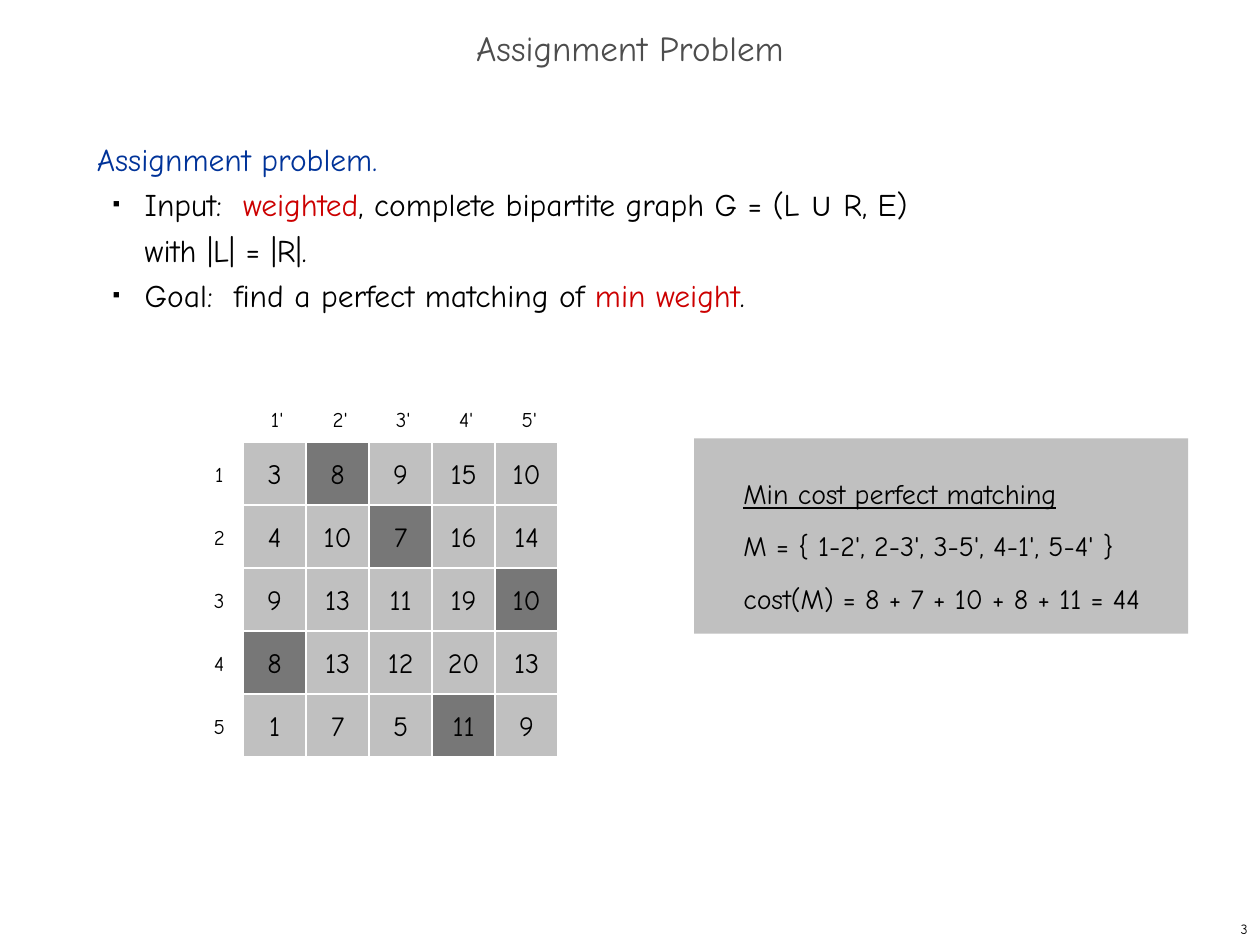
from dataclasses import dataclass

from lxml.etree import SubElement
from pptx import Presentation
from pptx.dml.color import RGBColor
from pptx.enum.shapes import MSO_SHAPE as Preset
from pptx.enum.text import MSO_ANCHOR as Anchor, PP_ALIGN as Align
from pptx.oxml.ns import qn
from pptx.util import Inches, Pt


@dataclass(frozen=True)
class Theme:
    font: str = "Comic Neue"
    symbol_font: str = "Arial"
    black: str = "000000"
    grey: str = "4D4D4D"
    blue: str = "003399"
    red: str = "CC0000"
    white: str = "FFFFFF"
    panel: str = "C0C0C0"
    chosen: str = "777777"
    title_size: int = 20
    body_size: int = 18
    cell_size: int = 16
    label_size: int = 12
    number_size: int = 8


THEME = Theme()
WIDTH, HEIGHT = 10, 7.5
CELL = 0.5
GRID_LEFT, GRID_TOP = 1.93, 3.51

TITLE = "Assignment Problem"
HEADING = [("Assignment problem.", {"color": THEME.blue})]
BULLETS = [
    [
        ("Input:  ", {}),
        ("weighted", {"color": THEME.red}),
        (", complete bipartite graph G = (L ", {}),
        ("∪", {"font": THEME.symbol_font}),
        (" R, E)\nwith |L| = |R|.", {}),
    ],
    [
        ("Goal:  find a perfect matching of ", {}),
        ("min weight", {"color": THEME.red}),
        (".", {}),
    ],
]
COSTS = [
    [3, 8, 9, 15, 10],
    [4, 10, 7, 16, 14],
    [9, 13, 11, 19, 10],
    [8, 13, 12, 20, 13],
    [1, 7, 5, 11, 9],
]
MATCHING = {1: 2, 2: 3, 3: 5, 4: 1, 5: 4}
RESULT = [
    [("Min cost perfect matching", {"underline": True})],
    [("M = { 1-2', 2-3', 3-5', 4-1', 5-4' }", {})],
    [("cost(M) = 8 + 7 + 10 + 8 + 11 = 44", {})],
]
PAGE_NUMBER = "3"


def write(frame, paragraphs, size, **layout):
    for index, spans in enumerate(paragraphs):
        para = frame.paragraphs[0] if index == 0 else frame.add_paragraph()
        for name, value in layout.items():
            setattr(para, name, value)
        for text, style in spans:
            for part, line in enumerate(text.split("\n")):
                if part:
                    para.add_line_break()
                span = para.add_run()
                span.text = line
                span.font.name = style.get("font", THEME.font)
                span.font.size = Pt(size)
                span.font.underline = style.get("underline")
                span.font.color.rgb = RGBColor.from_string(style.get("color", THEME.black))


def set_frame(frame, anchor=Anchor.MIDDLE, wrap=True, margins=(0.1, 0.05, 0.1, 0.05)):
    frame.vertical_anchor = anchor
    frame.word_wrap = wrap
    sides = ("margin_left", "margin_top", "margin_right", "margin_bottom")
    for side, value in zip(sides, margins):
        setattr(frame, side, Inches(value))
    return frame


def add_box(page, area, fill=None, line=None):
    box = page.shapes.add_shape(Preset.RECTANGLE, *map(Inches, area))
    box.shadow.inherit = False
    if fill:
        box.fill.solid()
        box.fill.fore_color.rgb = RGBColor.from_string(fill)
    else:
        box.fill.background()
    if line:
        box.line.color.rgb = RGBColor.from_string(line)
        box.line.width = Pt(0.75)
    else:
        box.line.fill.background()
    return box


def add_centred(page, text, centre, size, type_size, fill=None):
    (x, y), (width, height) = centre, size
    box = add_box(page, (x - width / 2, y - height / 2, width, height), fill, THEME.white)
    frame = set_frame(box.text_frame, wrap=False)
    write(frame, [[(text, {})]], type_size, alignment=Align.CENTER)


def add_bullet(para):
    props = para._p.get_or_add_pPr()
    props.set("marL", str(Inches(0.38)))
    props.set("indent", str(Inches(-0.25)))
    colour = SubElement(props, qn("a:buClr"))
    SubElement(colour, qn("a:srgbClr"), val=THEME.black)
    SubElement(props, qn("a:buSzPct"), val="35000")
    SubElement(props, qn("a:buFont"), typeface=THEME.symbol_font)
    SubElement(props, qn("a:buChar"), char="■")


def add_title(page):
    title = page.shapes.title
    area = (0, 0.17, WIDTH, 0.5)
    for name, value in zip(("left", "top", "width", "height"), area):
        setattr(title, name, Inches(value))
    write(set_frame(title.text_frame), [[(TITLE, {"color": THEME.grey})]],
          THEME.title_size, alignment=Align.CENTER, line_spacing=0.7)


def add_body(page):
    body = page.shapes.add_textbox(*map(Inches, (0.67, 1, 8.58, 5.92)))
    frame = set_frame(body.text_frame, Anchor.TOP)
    write(frame, [HEADING, *BULLETS], THEME.body_size, line_spacing=Pt(26))
    for para in frame.paragraphs[1:]:
        para.level = 1
        add_bullet(para)


def add_matrix(page):
    middles = [CELL * (index + 0.5) for index in range(len(COSTS))]
    for number, middle in enumerate(middles, 1):
        add_centred(page, str(number), (GRID_LEFT - 0.19, GRID_TOP + middle),
                    (0.29, 0.3), THEME.label_size)
    for number, middle in enumerate(middles, 1):
        add_centred(page, f"{number}'", (GRID_LEFT + middle + 0.02, GRID_TOP - 0.18),
                    (0.32, 0.3), THEME.label_size)
    for row, (costs, y) in enumerate(zip(COSTS, middles), 1):
        for column, (cost, x) in enumerate(zip(costs, middles), 1):
            fill = THEME.chosen if MATCHING[row] == column else THEME.panel
            add_centred(page, str(cost), (GRID_LEFT + x, GRID_TOP + y),
                        (CELL, CELL), THEME.cell_size, fill)


def add_result(page):
    box = add_box(page, (5.51, 3.48, 3.92, 1.55), THEME.panel)
    frame = set_frame(box.text_frame, margins=(0.39, 0.15, 0.2, 0.15))
    write(frame, RESULT, THEME.cell_size, alignment=Align.LEFT, line_spacing=Pt(30))


def add_page_number(page):
    width, height = 2.08, 0.25
    area = (WIDTH - width, HEIGHT - height, width, height)
    box = page.shapes.add_textbox(*map(Inches, area))
    write(set_frame(box.text_frame), [[(PAGE_NUMBER, {})]],
          THEME.number_size, alignment=Align.RIGHT)


def main():
    deck = Presentation()
    deck.slide_width, deck.slide_height = Inches(WIDTH), Inches(HEIGHT)
    page = deck.slides.add_slide(deck.slide_layouts[5])
    for add_part in (add_title, add_body, add_matrix, add_result, add_page_number):
        add_part(page)
    deck.save("out.pptx")


if __name__ == "__main__":
    main()
